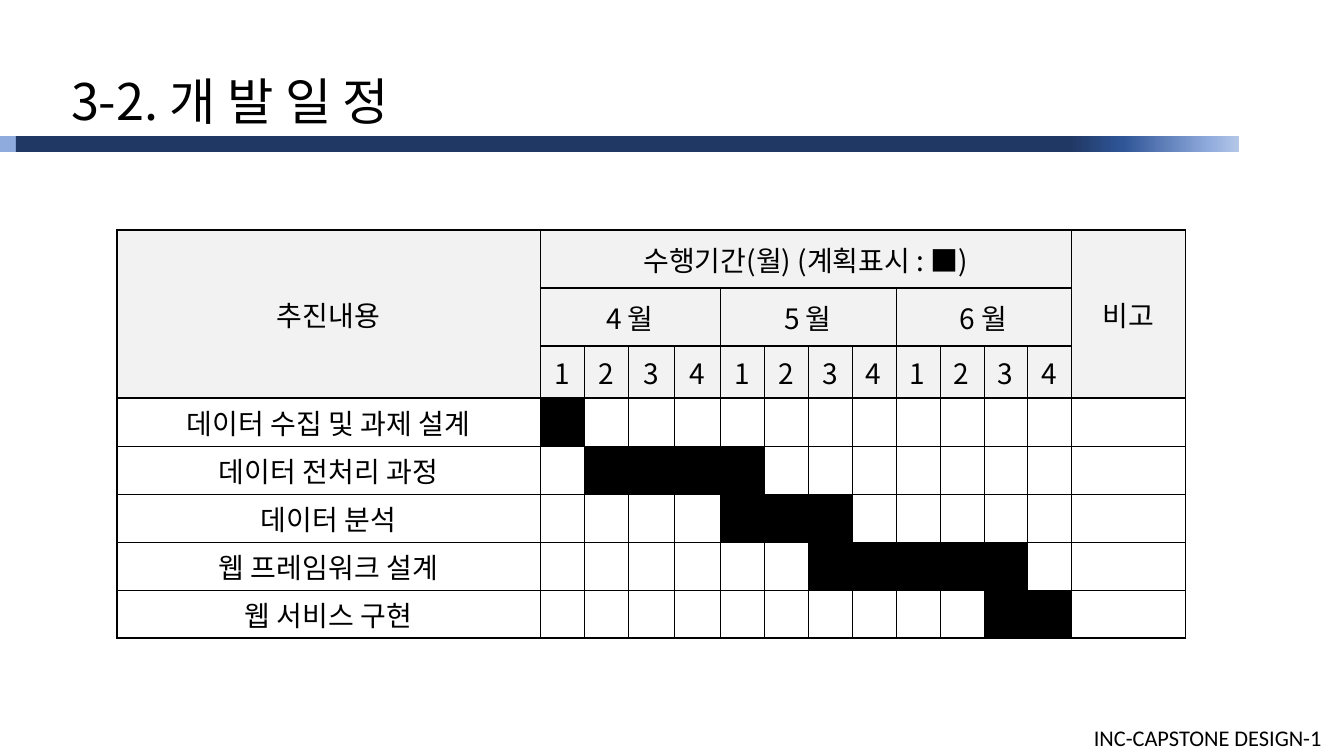
from lxml.etree import SubElement
from pptx import Presentation
from pptx.dml.color import RGBColor
from pptx.enum.shapes import MSO_SHAPE
from pptx.enum.text import MSO_ANCHOR as ANCHOR, MSO_AUTO_SIZE as AUTO, PP_ALIGN as ALIGN
from pptx.oxml.ns import qn
from pptx.util import Pt

TITLE = "3-2. 개 발 일 정"
FOOTER = "INC-CAPSTONE DESIGN-1"
TASK_HEAD, PERIOD_HEAD, NOTE_HEAD = "추진내용", "수행기간(월) (계획표시 : ■)", "비고"
MONTHS = ["4 월", "5 월", "6 월"]
WEEKS = 4
# task, first week and last week, counted from 1 over all months
TASKS = [
    ("데이터 수집 및 과제 설계", 1, 1),
    ("데이터 전처리 과정", 2, 5),
    ("데이터 분석", 5, 7),
    ("웹 프레임워크 설계", 7, 11),
    ("웹 서비스 구현", 11, 12),
]

COLORS = {"ink": "000000", "head": "F2F2F2", "navy": "203864", "blue": "2F5597",
          "sky": "8FAADC", "pale": "B4C7E7"}
FADE = [(0, "pale"), (18, "sky"), (69, "blue"), (100, "navy")]
KOREAN, LATIN = "Noto Sans CJK KR", "Calibri"
THIN, MEDIUM, THICK = 0.28, 1.41, 1.98

PX = 914400 / 100.8
SLIDE = (1344, 756)
TITLE_BOX = (61, 65, 707, 71)
FOOTER_BOX = (1084, 719, 260, 37)
BAND_TOP, BAND_HEIGHT = 136, 16
BANDS = [(0, 325, "sky"), (16, 1223, "navy"), (1070, 169, None)]
TABLE_LEFT, TABLE_TOP = 117, 230
COLUMNS = [423, 44, 44, 46, 46] + [44] * 8 + [114]
ROWS = [58, 58, 52] + [48] * len(TASKS)
HEAD_ROWS = 3
LAST_COL = len(COLUMNS) - 1
ROW_LINES = [MEDIUM] * HEAD_ROWS + [THICK] + [THIN] * (len(TASKS) - 1) + [MEDIUM]
COL_LINES = [MEDIUM] + [THIN] * LAST_COL + [MEDIUM]


def emu(*lengths):
    return [round(length * PX) for length in lengths]


def rgb(name):
    return RGBColor.from_string(COLORS[name])


def write(frame, text, size=20, font=KOREAN, align=ALIGN.CENTER):
    paragraph = frame.paragraphs[0]
    paragraph.alignment = align
    run = paragraph.add_run()
    run.text = text
    run.font.size = Pt(size)
    run.font.name = font
    run.font.color.rgb = rgb("ink")
    SubElement(run.font._element, qn("a:ea"), typeface=font)


def add_band(slide, left, width, color):
    """Add a piece of the title rule; without a colour it fades out."""
    band = slide.shapes.add_shape(MSO_SHAPE.RECTANGLE,
                                  *emu(left, BAND_TOP, width, BAND_HEIGHT))
    band.shadow.inherit = False
    band.line.fill.background()
    if color:
        band.fill.solid()
        band.fill.fore_color.rgb = rgb(color)
        return
    band.fill.gradient()
    band.fill.gradient_angle = 180
    stops = next(band._element.iter(qn("a:gsLst")))
    stops.clear()
    for percent, name in FADE:
        stop = SubElement(stops, qn("a:gs"), pos=str(percent * 1000))
        SubElement(stop, qn("a:srgbClr"), val=COLORS[name])


def draw_borders(cell, row, col):
    widths = {"L": COL_LINES[col], "R": COL_LINES[col + cell.span_width],
              "T": ROW_LINES[row], "B": ROW_LINES[row + cell.span_height]}
    properties = cell._tc.get_or_add_tcPr()
    for side, width in widths.items():
        line = SubElement(properties, qn(f"a:ln{side}"), w=str(Pt(width)))
        fill = SubElement(line, qn("a:solidFill"))
        SubElement(fill, qn("a:srgbClr"), val=COLORS["ink"])


def fill_cell(cell, color):
    if color:
        cell.fill.solid()
        cell.fill.fore_color.rgb = rgb(color)
    else:
        cell.fill.background()


def label(table, row, col, text, rows=1, cols=1, inset=(4, 4)):
    cell = table.cell(row, col)
    if rows * cols > 1:
        cell.merge(table.cell(row + rows - 1, col + cols - 1))
    cell.vertical_anchor = ANCHOR.MIDDLE
    cell.margin_left, cell.margin_top = emu(*inset)
    cell.margin_right, cell.margin_bottom = emu(*inset)
    write(cell.text_frame, text)


def add_schedule(slide):
    frame = slide.shapes.add_table(len(ROWS), len(COLUMNS),
                                   *emu(TABLE_LEFT, TABLE_TOP, sum(COLUMNS), sum(ROWS)))
    table = frame.table
    table.first_row = table.horz_banding = False
    for column, width in zip(table.columns, emu(*COLUMNS)):
        column.width = width
    for row, height in zip(table.rows, emu(*ROWS)):
        row.height = height

    wide = (18, 9)
    label(table, 0, 0, TASK_HEAD, rows=HEAD_ROWS, inset=wide)
    label(table, 0, 1, PERIOD_HEAD, cols=LAST_COL - 1, inset=wide)
    label(table, 0, LAST_COL, NOTE_HEAD, rows=HEAD_ROWS, inset=wide)
    for index, month in enumerate(MONTHS):
        first = 1 + index * WEEKS
        label(table, 1, first, month, cols=WEEKS, inset=wide)
        for week in range(WEEKS):
            label(table, 2, first + week, str(week + 1))

    busy = set()
    for row, (task, start, end) in enumerate(TASKS, HEAD_ROWS):
        label(table, row, 0, task)
        busy.update((row, week) for week in range(start, end + 1))

    for row in range(len(ROWS)):
        for col in range(len(COLUMNS)):
            cell = table.cell(row, col)
            if cell.is_spanned:
                continue
            draw_borders(cell, row, col)
            planned = "ink" if (row, col) in busy else None
            fill_cell(cell, "head" if row < HEAD_ROWS else planned)


def main():
    deck = Presentation()
    deck.slide_width, deck.slide_height = emu(*SLIDE)
    slide = deck.slides.add_slide(deck.slide_layouts[5])

    for band in BANDS:
        add_band(slide, *band)

    title = slide.shapes.title
    title.left, title.top, title.width, title.height = emu(*TITLE_BOX)
    title.text_frame.auto_size = AUTO.NONE
    title.text_frame.vertical_anchor = ANCHOR.MIDDLE
    write(title.text_frame, TITLE, size=36, align=ALIGN.LEFT)

    footer = slide.shapes.add_textbox(*emu(*FOOTER_BOX)).text_frame
    footer.word_wrap = True
    write(footer, FOOTER, size=16, font=LATIN, align=ALIGN.LEFT)

    add_schedule(slide)
    deck.save("out.pptx")


if __name__ == "__main__":
    main()
